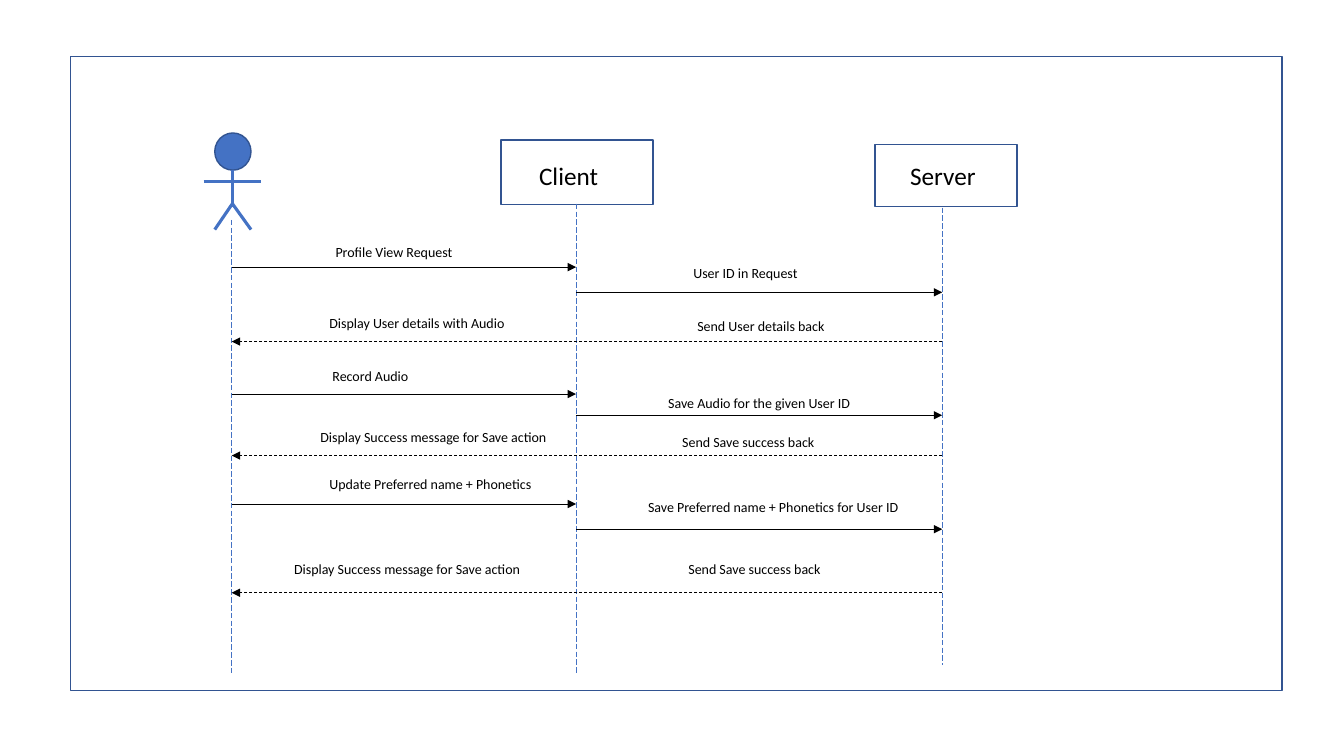
from lxml.etree import SubElement
from pptx import Presentation
from pptx.dml.color import RGBColor
from pptx.enum.dml import MSO_LINE
from pptx.enum.shapes import MSO_CONNECTOR, MSO_SHAPE
from pptx.enum.text import MSO_AUTO_SIZE
from pptx.oxml.ns import qn
from pptx.util import Pt

BLUE = "4472C4"
DARK_BLUE = "325491"
BLACK = "000000"
WHITE = "FFFFFF"

USER, CLIENT, SERVER = 165.5, 411.5, 673
FRAME_FORMAT = {"word_wrap": True, "auto_size": MSO_AUTO_SIZE.SHAPE_TO_FIT_TEXT}
LABEL_FONT = {"name": "Calibri", "size": Pt(10)}
HEADING_FONT = {"name": "Calibri", "size": Pt(18)}
LIMB = {"width": Pt(2.25)}
LIFELINE = {"width": Pt(0.5), "dash_style": MSO_LINE.LONG_DASH}
REQUEST = {"width": Pt(0.5)}
REPLY = {"width": Pt(0.5), "dash_style": MSO_LINE.DASH}

BOXES = [
    (MSO_SHAPE.RECTANGLE, 50.4, 40.3, 865.4, 452.9, None),
    (MSO_SHAPE.OVAL, 153.4, 95, 25.9, 26.6, BLUE),
    (MSO_SHAPE.RECTANGLE, 357.8, 100, 108.7, 46, None),
    (MSO_SHAPE.RECTANGLE, 625, 103, 101.5, 44.7, WHITE),
]
LIMBS = [
    (166, 121.6, 166, 148),
    (166, 145.5, 153.4, 164),
    (166, 145.5, 179.3, 164),
    (145.5, 129.6, 186.5, 129.6),
]
LIFELINES = [(USER, 157, 481), (CLIENT, 145.5, 481), (SERVER, 148.3, 475.2)]
MESSAGES = [
    (USER, CLIENT, 190.8, REQUEST),
    (CLIENT, SERVER, 208.8, REQUEST),
    (SERVER, USER, 244, REPLY),
    (USER, CLIENT, 281.5, REQUEST),
    (CLIENT, SERVER, 296.6, REQUEST),
    (SERVER, USER, 325.4, REPLY),
    (USER, CLIENT, 360, REQUEST),
    (CLIENT, SERVER, 378, REQUEST),
    (SERVER, USER, 423.4, REPLY),
]
HEADINGS = [("Client", 378, 110.9, 67), ("Server", 643, 110.9, 73.4)]
LABELS = [
    ("Profile View Request", 232.6, 170.6, 100),
    ("User ID in Request", 488.2, 185.4, 100),
    ("Display User details with Audio", 228.2, 221, 147.6),
    ("Send User details back", 491, 223.2, 121),
    ("Record Audio", 230.4, 258.8, 100),
    ("Save Audio for the given User ID", 470.2, 278, 157),
    ("Display Success message for Save action", 221.8, 302.4, 185),
    ("Send Save success back", 480.2, 306, 121),
    ("Update Preferred name + Phonetics", 228.2, 336.2, 169.2),
    ("Save Preferred name + Phonetics for User ID", 455.8, 352.4, 208),
    ("Display Success message for Save action", 203, 396.7, 185),
    ("Send Save success back", 484.6, 396.7, 121),
]


def color(value):
    return RGBColor.from_string(value)


def apply_format(target, values):
    for name, value in values.items():
        setattr(target, name, value)


def add_box(slide, kind, left, top, width, height, fill):
    shape = slide.shapes.add_shape(kind, Pt(left), Pt(top), Pt(width), Pt(height))
    shape.shadow.inherit = False
    if fill:
        shape.fill.solid()
        shape.fill.fore_color.rgb = color(fill)
    else:
        shape.fill.background()
    shape.line.width = Pt(1)
    shape.line.color.rgb = color(DARK_BLUE)


def add_line(slide, points, line_color, line_format, arrow=False):
    connector = slide.shapes.add_connector(
        MSO_CONNECTOR.STRAIGHT, *[Pt(point) for point in points]
    )
    connector.line.color.rgb = color(line_color)
    apply_format(connector.line, line_format)
    properties = connector.element.spPr
    if arrow:
        SubElement(properties.find(qn("a:ln")), qn("a:tailEnd"), type="triangle")
    SubElement(properties, qn("a:effectLst"))


def add_text(slide, text, left, top, width, font_format):
    height = font_format["size"].pt * 1.2 + 7.2
    box = slide.shapes.add_textbox(Pt(left), Pt(top), Pt(width), Pt(height))
    apply_format(box.text_frame, FRAME_FORMAT)
    run = box.text_frame.paragraphs[0].add_run()
    run.text = text
    apply_format(run.font, font_format)
    run.font.color.rgb = color(BLACK)


def main():
    presentation = Presentation()
    presentation.slide_width = Pt(960)
    presentation.slide_height = Pt(540)
    slide = presentation.slides.add_slide(presentation.slide_layouts[6])
    for box in BOXES:
        add_box(slide, *box)
    for limb in LIMBS:
        add_line(slide, limb, BLUE, LIMB)
    for lane, top, bottom in LIFELINES:
        add_line(slide, (lane, top, lane, bottom), BLUE, LIFELINE)
    for sender, receiver, top, line_format in MESSAGES:
        add_line(slide, (sender, top, receiver, top), BLACK, line_format, arrow=True)
    for heading in HEADINGS:
        add_text(slide, *heading, HEADING_FONT)
    for label in LABELS:
        add_text(slide, *label, LABEL_FONT)
    presentation.save("out.pptx")


main()
